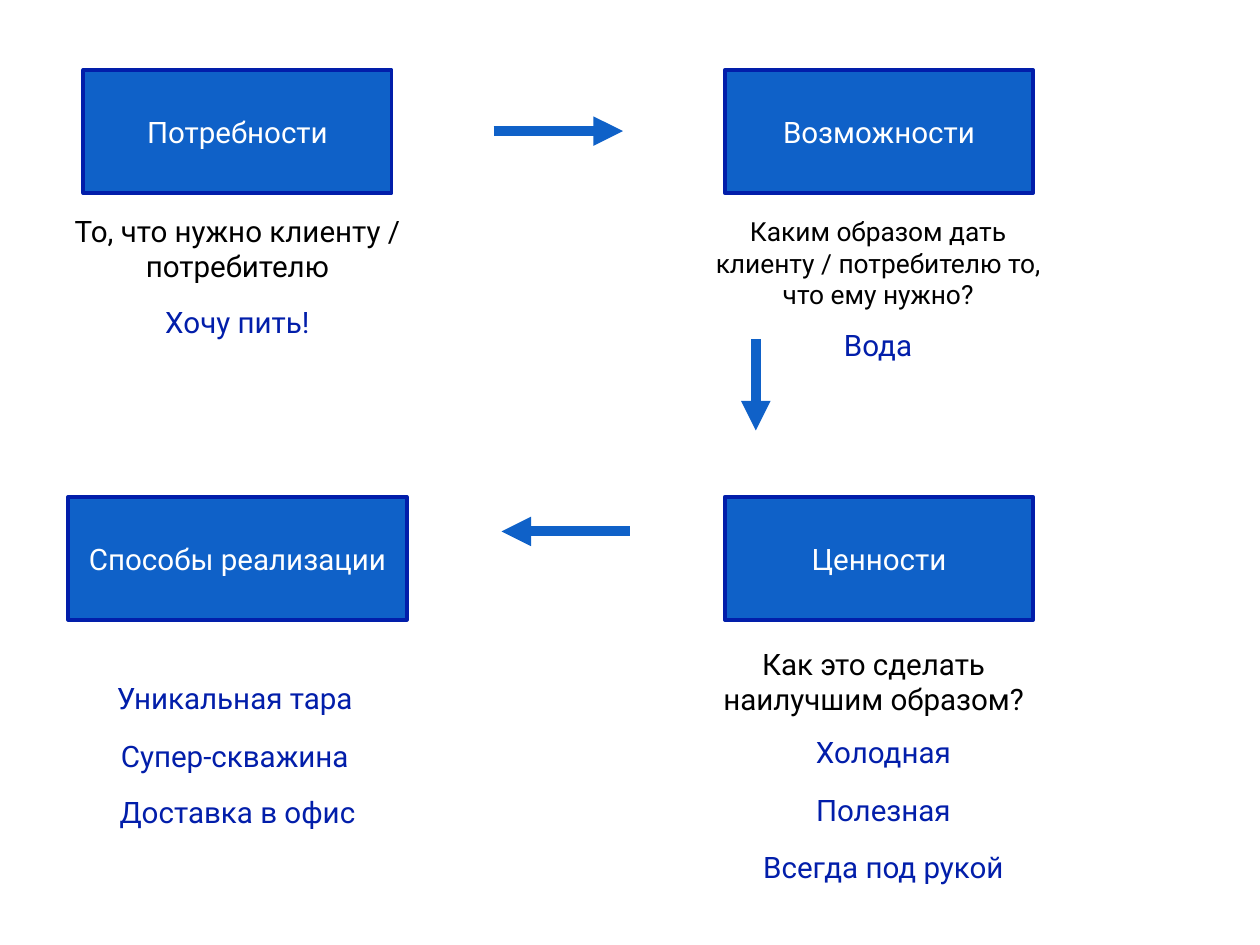
from dataclasses import dataclass

from lxml.etree import SubElement
from pptx import Presentation
from pptx.dml.color import RGBColor
from pptx.enum.shapes import MSO_CONNECTOR, MSO_SHAPE
from pptx.enum.text import MSO_ANCHOR, PP_ALIGN
from pptx.oxml.ns import qn
from pptx.slide import Slide
from pptx.text.text import TextFrame
from pptx.util import Inches, Pt


@dataclass(frozen=True)
class Theme:
    """Colours, font and sizes of the slide."""
    font: str = "Roboto"
    box_fill: RGBColor = RGBColor(0x0F, 0x61, 0xC8)
    accent: RGBColor = RGBColor(0x02, 0x1E, 0xAA)
    black: RGBColor = RGBColor(0, 0, 0)
    white: RGBColor = RGBColor(255, 255, 255)
    body_size: float = 24
    small_size: float = 21.4
    border: float = 3
    arrow: float = 8


@dataclass(frozen=True)
class Stage:
    """A titled box of the scheme."""
    title: str
    left: float
    top: float
    width: float = 3.48
    height: float = 1.39


@dataclass(frozen=True)
class Caption:
    """A centred text under a stage."""
    text: str
    left: float
    top: float
    height: float = 0.64
    color: RGBColor = Theme.accent
    size: float = Theme.body_size
    width: float = 3.86


@dataclass(frozen=True)
class Arrow:
    """A straight arrow from start to end."""
    start: tuple[float, float]
    end: tuple[float, float]


THEME = Theme()
TOP_ROW, BOTTOM_ROW = 0.79, 5.61
RIGHT_COLUMN = 8.18
EXAMPLE_STEP = 0.65

STAGES = [
    Stage("Потребности", 0.94, TOP_ROW),
    Stage("Возможности", RIGHT_COLUMN, TOP_ROW),
    Stage("Ценности", RIGHT_COLUMN, BOTTOM_ROW),
    Stage("Способы реализации", 0.77, BOTTOM_ROW, width=3.82),
]


def example_list(texts: list[str], left: float, top: float) -> list[Caption]:
    """Stack example captions at an equal step."""
    return [Caption(text, left, top + row * EXAMPLE_STEP) for row, text in enumerate(texts)]


CAPTIONS = [
    Caption("То, что нужно клиенту / потребителю", 0.75, 2.4, 1.01, THEME.black),
    Caption("Каким образом дать клиенту / потребителю то, что ему нужно?",
            7.98, 2.43, 1.18, THEME.black, THEME.small_size),
    Caption("Как это сделать наилучшим образом?", 7.93, 7.29, 1.18, THEME.black),
    Caption("Хочу пить!", 0.75, 3.43),
    Caption("Вода", 7.98, 3.69),
    *example_list(["Холодная", "Полезная", "Всегда под рукой"], 8.04, 8.29),
    *example_list(["Уникальная тара", "Супер-скважина"], 0.72, 7.68),
    Caption("Доставка в офис", 0.75, 8.97),
]

ARROWS = [
    Arrow((5.57, 1.48), (7.03, 1.48)),
    Arrow((7.11, 6), (5.66, 6)),
    Arrow((8.53, 3.83), (8.53, 4.86)),
]


def write_text(frame: TextFrame, text: str, size: float, color: RGBColor) -> None:
    """Fill a frame with one centred paragraph."""
    frame.word_wrap = True
    frame.margin_left = frame.margin_right = frame.margin_top = frame.margin_bottom = 0
    paragraph = frame.paragraphs[0]
    paragraph.text = text
    paragraph.alignment = PP_ALIGN.CENTER
    paragraph.font.name = THEME.font
    paragraph.font.size = Pt(size)
    paragraph.font.color.rgb = color


def draw_stage(slide: Slide, stage: Stage) -> None:
    """Draw a bordered box with its title."""
    shape = slide.shapes.add_shape(
        MSO_SHAPE.RECTANGLE, Inches(stage.left), Inches(stage.top),
        Inches(stage.width), Inches(stage.height))
    shape.shadow.inherit = False
    shape.fill.solid()
    shape.fill.fore_color.rgb = THEME.box_fill
    shape.line.color.rgb = THEME.accent
    shape.line.width = Pt(THEME.border)
    shape.text_frame.vertical_anchor = MSO_ANCHOR.MIDDLE
    write_text(shape.text_frame, stage.title, THEME.body_size, THEME.white)


def draw_caption(slide: Slide, caption: Caption) -> None:
    """Draw a text box."""
    shape = slide.shapes.add_textbox(
        Inches(caption.left), Inches(caption.top),
        Inches(caption.width), Inches(caption.height))
    write_text(shape.text_frame, caption.text, caption.size, caption.color)


def draw_arrow(slide: Slide, arrow: Arrow) -> None:
    """Draw a thick line with a triangular head."""
    connector = slide.shapes.add_connector(
        MSO_CONNECTOR.STRAIGHT, *map(Inches, arrow.start + arrow.end))
    connector.line.color.rgb = THEME.box_fill
    connector.line.width = Pt(THEME.arrow)
    SubElement(connector.line._get_or_add_ln(), qn("a:tailEnd"), type="triangle")
    SubElement(connector._element.spPr, qn("a:effectLst"))


def main() -> None:
    """Build and save the slide."""
    presentation = Presentation()
    presentation.slide_width = Inches(14.22)
    presentation.slide_height = Inches(10.67)
    slide = presentation.slides.add_slide(presentation.slide_layouts[6])
    for caption in CAPTIONS:
        draw_caption(slide, caption)
    for stage in STAGES:
        draw_stage(slide, stage)
    for arrow in ARROWS:
        draw_arrow(slide, arrow)
    presentation.save("out.pptx")


if __name__ == "__main__":
    main()
